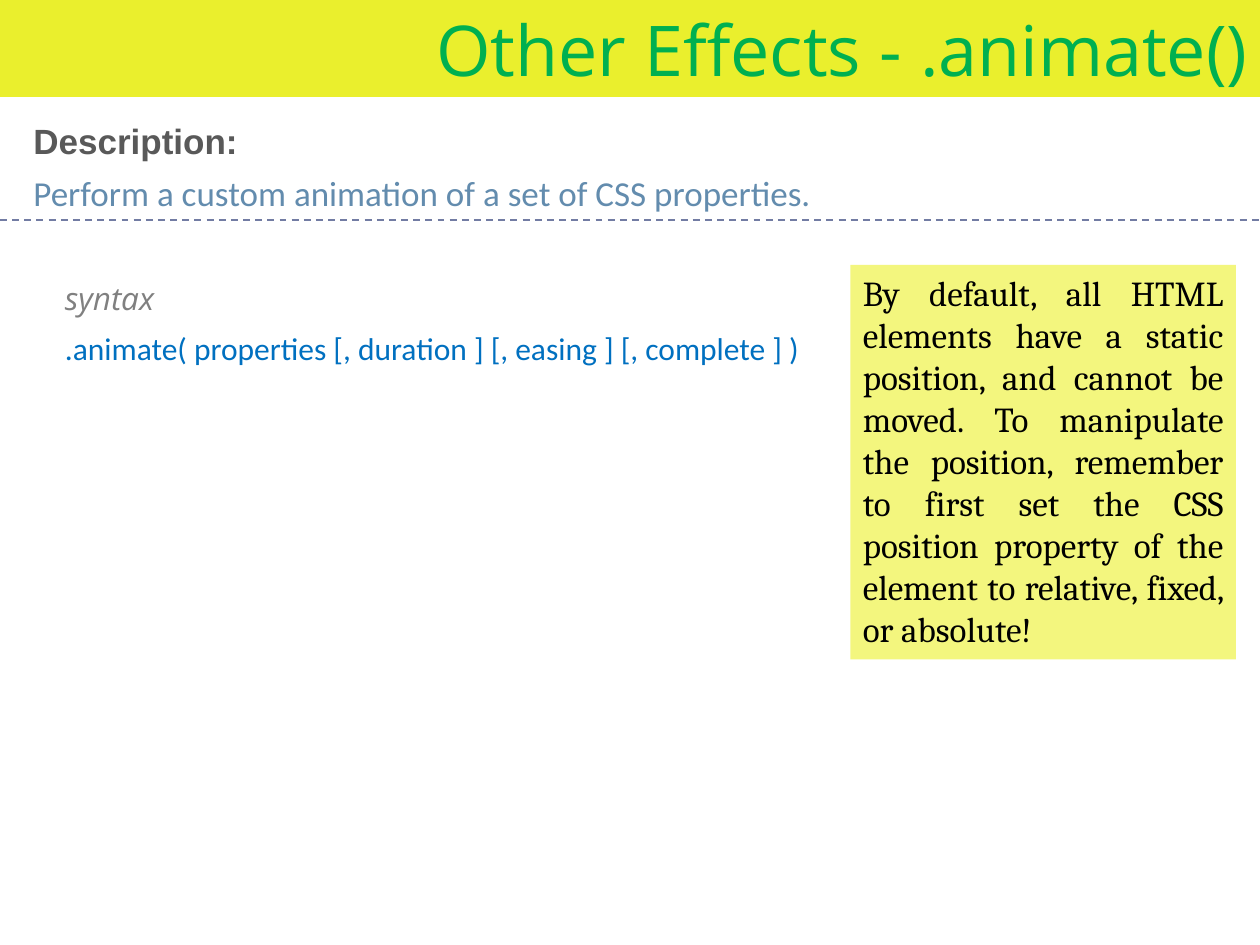
"""Build the slide that introduces the .animate() effect."""
from dataclasses import dataclass, field
from typing import Any, Optional

from lxml.etree import SubElement
from pptx import Presentation
from pptx.dml.color import RGBColor
from pptx.enum.dml import MSO_LINE
from pptx.enum.shapes import MSO_CONNECTOR, MSO_SHAPE
from pptx.enum.text import MSO_ANCHOR as Anchor, PP_ALIGN as Align
from pptx.oxml.ns import qn
from pptx.slide import Slide
from pptx.util import Pt

PAGE_WIDTH, PAGE_HEIGHT = 720, 540
COLORS = {
    "banner": "EAEF2D", "title": "00B050", "heading": "595959",
    "summary": "638CAE", "divider": "727CA3", "syntax": "808080",
    "code": "0070C0", "note": "F3F67E", "ink": "000000",
}


@dataclass
class TextBlock:
    """One text area with its frame in points and its format."""
    text: str
    frame: tuple[float, float, float, float]
    color: str
    font: dict[str, Any] = field(default_factory=dict)
    fill: Optional[str] = None
    align: Align = Align.LEFT
    anchor: Anchor = Anchor.MIDDLE


BLOCKS = [
    TextBlock("Other Effects - .animate()", (0, 0, PAGE_WIDTH, 55.4), "title",
              {"name": "Open Sans", "size": Pt(40)}, "banner", Align.RIGHT),
    TextBlock("Perform a custom animation of a set of CSS properties.",
              (12, 94.5, 696, 31.5), "summary", {"name": "Calibri", "size": Pt(20)}),
    TextBlock("Description:", (12, 64.8, 678, 31.5), "heading",
              {"name": "Arial", "size": Pt(20), "bold": True}, anchor=Anchor.TOP),
    TextBlock(".animate( properties [, duration ] [, easing ] [, complete ] )",
              (30, 184.5, 660, 29), "code", {"name": "Calibri", "size": Pt(18)}),
    TextBlock("syntax", (30, 156, 660, 29), "syntax",
              {"name": "Open Sans", "size": Pt(18), "italic": True}),
    TextBlock("By default, all HTML elements have a static position, and cannot be "
              "moved. To manipulate the position, remember to first set the CSS "
              "position property of the element to relative, fixed, or absolute!",
              (486, 151.4, 220.3, 225.4), "ink",
              {"name": "Cambria", "size": Pt(20)}, "note", Align.JUSTIFY, Anchor.TOP),
]


def rgb(name: str) -> RGBColor:
    """Return the named colour."""
    return RGBColor.from_string(COLORS[name])


def draw_block(page: Slide, block: TextBlock) -> None:
    """Draw a text block, on a filled rectangle if it has a fill."""
    frame = [Pt(length) for length in block.frame]
    if block.fill:
        box = page.shapes.add_shape(MSO_SHAPE.RECTANGLE, *frame)
        box.shadow.inherit = False
        box.fill.solid()
        box.fill.fore_color.rgb = rgb(block.fill)
        box.line.fill.background()
    else:
        box = page.shapes.add_textbox(*frame)
    box.text_frame.word_wrap = True
    box.text_frame.vertical_anchor = block.anchor
    para = box.text_frame.paragraphs[0]
    para.alignment = block.align
    span = para.add_run()
    span.text = block.text
    for name, value in block.font.items():
        setattr(span.font, name, value)
    span.font.color.rgb = rgb(block.color)


def draw_divider(page: Slide, top: float) -> None:
    """Draw a dashed line across the page."""
    divider = page.shapes.add_connector(
        MSO_CONNECTOR.STRAIGHT, Pt(0), Pt(top), Pt(PAGE_WIDTH), Pt(top))
    divider.line.color.rgb = rgb("divider")
    for name, value in {"width": Pt(1), "dash_style": MSO_LINE.DASH}.items():
        setattr(divider.line, name, value)
    SubElement(divider.element.spPr, qn("a:effectLst"))


def main() -> None:
    """Build and save the deck."""
    deck = Presentation()
    deck.slide_width, deck.slide_height = Pt(PAGE_WIDTH), Pt(PAGE_HEIGHT)
    page = deck.slides.add_slide(deck.slide_layouts[6])
    for block in BLOCKS:
        draw_block(page, block)
    draw_divider(page, 125.8)
    deck.save("out.pptx")


if __name__ == "__main__":
    main()
